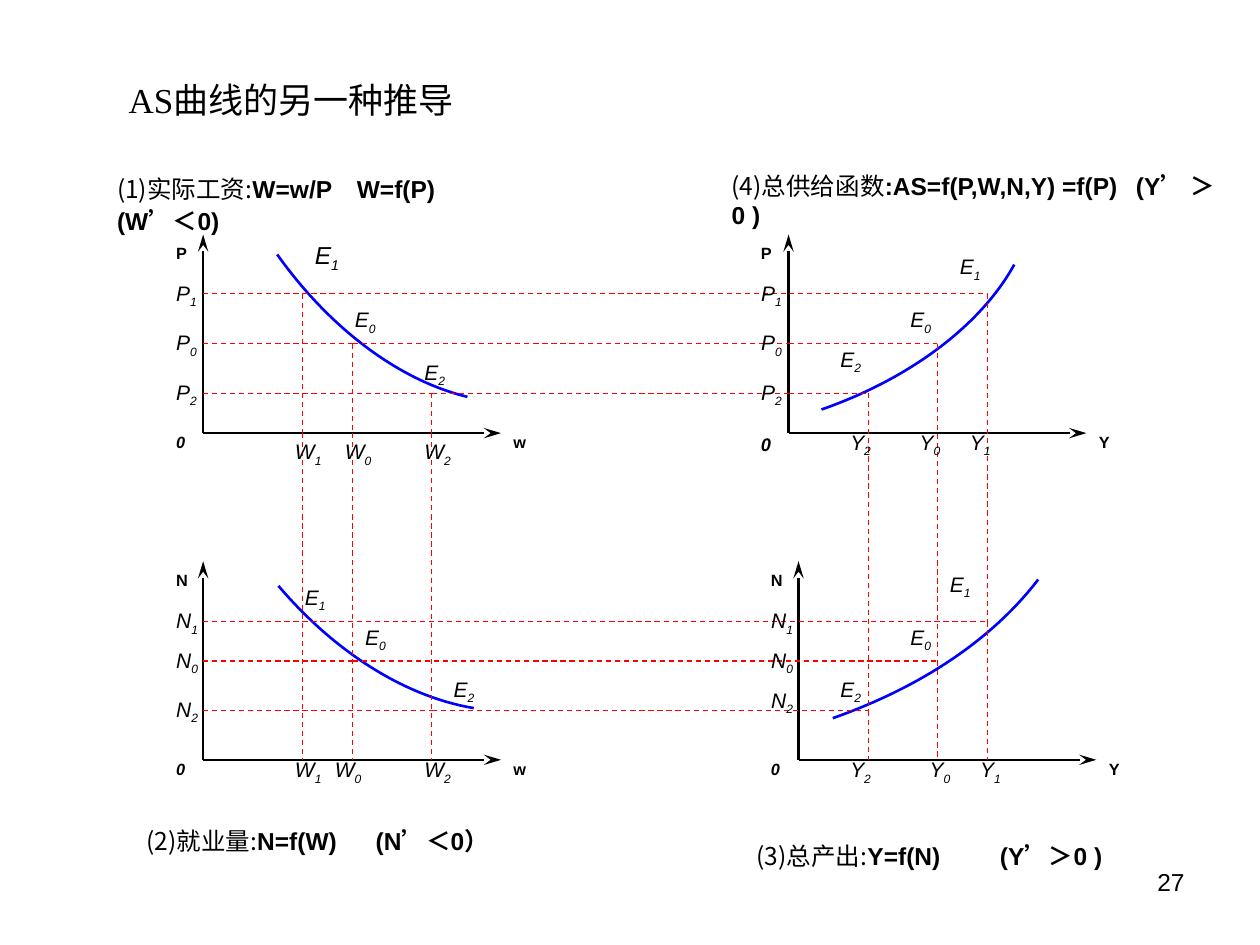
from pptx import Presentation, util as u
from pptx.dml.color import RGBColor
from pptx.enum import dml, shapes, text
from pptx.oxml.ns import qn
from lxml import etree

Pt = u.Pt
INK = {"black": "000000", "blue": "0000FF", "red": "FF0000"}
SANS, HAN, SERIF = "Arial", "Noto Sans CJK SC", "Times New Roman"

deck = Presentation()
deck.slide_width, deck.slide_height = Pt(720), Pt(540)
slide = deck.slides.add_slide(deck.slide_layouts[6])


def put(x, y, wide, high, runs, tab=()):
    """Add a text box; each run is (words, size, font, style, baseline)."""
    box = slide.shapes.add_textbox(Pt(x), Pt(y), Pt(wide), Pt(high))
    frame = box.text_frame
    frame.word_wrap = True
    para = frame.paragraphs[0]
    if tab:
        stops = etree.SubElement(para._p.get_or_add_pPr(), qn("a:tabLst"))
        for pos in tab:
            etree.SubElement(stops, qn("a:tab"), pos=str(Pt(pos)), algn="l")
    for words, size, face, style, base in runs:
        run = para.add_run()
        run.text = words
        font = run.font
        font.size, font.bold, font.italic = Pt(size), "b" in style, "i" in style
        font.color.rgb = RGBColor.from_string(INK["black"])
        font.name = face
        props = run._r.get_or_add_rPr()
        etree.SubElement(props, qn("a:ea"), typeface=HAN)
        if base:
            props.set("baseline", str(base * 1000))
    return para


def rule(x1, y1, x2, y2, ink, width, dash=False):
    """Add a dashed guide, or a solid axis with an arrowhead at its end."""
    line = slide.shapes.add_connector(
        shapes.MSO_CONNECTOR.STRAIGHT, Pt(x1), Pt(y1), Pt(x2), Pt(y2))
    line.line.color.rgb = RGBColor.from_string(INK[ink])
    line.line.width = Pt(width)
    if dash:
        line.line.dash_style = dml.MSO_LINE.DASH
    else:
        etree.SubElement(line.line._get_or_add_ln(), qn("a:tailEnd"),
                         type="stealth", w="med", len="lg")
    etree.SubElement(line._element.spPr, qn("a:effectLst"))


# Title and page number
put(66.4, 41.4, 400, 32, [("AS曲线的另一种推导", 20, SERIF, "", 0)])
page = put(516, 492, 168, 37, [("27", 14, SANS, "", 0)])
page.alignment = text.PP_ALIGN.RIGHT

# Captions: place, width, plain part, bold part, tab stops
captions = [
    (59.8, 94.3, 250, "(1)实际工资:", "W=w/P\tW=f(P)\t(W’＜0)", (137, 197)),
    (76.6, 468.5, 244, "(2)就业量:", "N=f(W)\t(N’＜0）", (131,)),
    (425.3, 477, 232, "(3)总产出:", "Y=f(N)\t(Y’＞0 )", (139,)),
    (411, 94, 300, "(4)总供给函数", ":AS=f(P,W,N,Y) =f(P)\t(Y’ ＞ 0 )", (231,)),
]
for x, y, wide, plain, bold, tab in captions:
    para = put(x, y, wide, 25,
               [(plain, 14, HAN, "", 0), (bold, 14, SANS, "b", 0)], tab)
    if plain.startswith("(1)"):
        para.line_spacing = 1.1

# Axes with their names: origin, label left, names, size of the zero
TOP, LOW = 247.5, 434.2
WEST, EAST = 116.1, 450.6
axes = [
    (WEST, TOP, 93.6, "P", "w", 16),
    (EAST, TOP, 427.7, "P", "Y", 18),
    (WEST, LOW, 93.6, "N", "w", 16),
    (456.3, LOW, 433.4, "N", "Y", 16),
]
for x, y, left, up, side, size in axes:
    rule(x, y, x, y - 113.5, "black", 1.5)
    rule(x, y, x + 170.2, y, "black", 1.5)
    put(left, y - 114, 24, 20, [(up, 16, SANS, "b", 30)])
    put(x + 170.2, y - 5.8, 24, 20, [(side, 16, SANS, "b", 30)])
    put(left, y - 5.8, 24, 20, [("0", size, SANS, "bi", 30)])

# Curves, each a cubic with four control points in inches
curves = [
    [(2.2, 2.02), (2.62, 2.61), (3.17, 3.02), (3.71, 3.15)],
    [(2.21, 4.65), (2.66, 5.18), (3.22, 5.53), (3.76, 5.62)],
    [(6.52, 3.25), (7.21, 3.01), (7.78, 2.59), (8.05, 2.1)],
    [(6.61, 5.7), (7.32, 5.45), (7.88, 5.07), (8.24, 4.6)],
]
for knots in curves:
    dots = [(Pt(72 * x), Pt(72 * y)) for x, y in knots]
    pen = slide.shapes.build_freeform(*dots[0])
    pen.add_line_segments(dots[1:], close=False)
    curve = pen.convert_to_shape()
    curve.shadow.inherit = False
    curve.fill.background()
    curve.line.color.rgb = RGBColor.from_string(INK["blue"])
    curve.line.width = Pt(1.5)
    # Turn the three straight segments into one Bezier segment
    track = next(curve._element.iter(qn("a:pathLst")))[0]
    bend = etree.SubElement(track, qn("a:cubicBezTo"))
    for leg in track.findall(qn("a:lnTo")):
        bend.append(leg[0])
        track.remove(leg)

# Dashed guides: wage x, output x, price y, labour y
guides = [
    (201.6, 535.7, 196.4, 377.8),
    (172.8, 564.3, 167.9, 355.1),
    (246.7, 496.2, 224.7, 406.1),
]
for wage, out, price, work in guides:
    across = [(price, (WEST, wage, EAST, out)), (work, (WEST, wage, out))]
    down = [(wage, (price, TOP, LOW)), (out, (price, work, LOW))]
    for y, stops in across:
        for start, end in zip(stops, stops[1:]):
            rule(start, y, end, y, "red", 0.75, True)
    for x, stops in down:
        for start, end in zip(stops, stops[1:]):
            rule(x, start, x, end, "red", 0.75, True)

# Subscripted labels: left and top for subscripts 0, 1, 2
marks = [
    ("P", (93.6, 185), (93.6, 156.8), (93.6, 213.3)),
    ("P", (427.9, 185), (427.9, 156.8), (427.9, 213.3)),
    ("N", (93.6, 366.3), (93.6, 343.8), (93.6, 394.5)),
    ("N", (433.6, 366.3), (433.6, 343.8), (433.6, 389.4)),
    ("W", (190, 247.3), (161.5, 247.3), (235.4, 247.3)),
    ("W", (184.3, 429), (161.5, 429), (235.4, 429)),
    ("Y", (518.4, 242), (547.2, 242), (478.8, 242)),
    ("Y", (524.2, 429), (553, 429), (478.8, 429)),
    ("E", (195.8, 171.8), (172.8, 133.6), (235.4, 202)),
    ("E", (513.2, 171.8), (541.4, 141.5), (473.2, 194.4)),
    ("E", (201.6, 353.3), (167.2, 330.5), (252.2, 383)),
    ("E", (513.2, 353.3), (535.7, 323.1), (473.2, 383)),
]
for name, *spots in marks:
    for sub, (x, y) in enumerate(spots):
        size = 14 if (x, y) == (172.8, 133.6) else 12
        put(x, y, 36, 21.6, [(name, size, SANS, "i", 0), (str(sub), size, SANS, "i", -25)])

deck.save("out.pptx")
